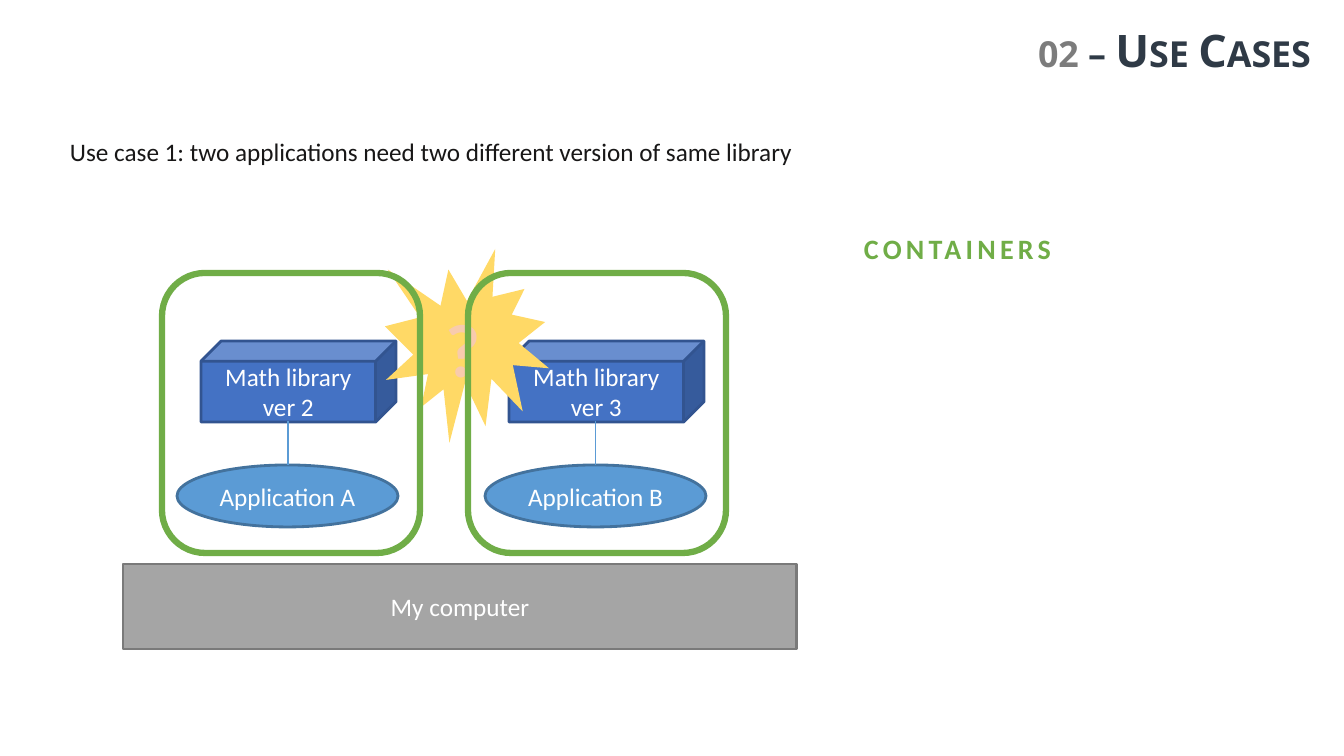
from lxml import etree
from pptx import Presentation
from pptx.dml.color import RGBColor
from pptx.enum.shapes import MSO_CONNECTOR, MSO_SHAPE
from pptx.enum.text import MSO_ANCHOR, PP_ALIGN
from pptx.oxml.ns import qn
from pptx.util import Emu, Pt

LEFT, CENTER, RIGHT = PP_ALIGN.LEFT, PP_ALIGN.CENTER, PP_ALIGN.RIGHT
TOP, MIDDLE = MSO_ANCHOR.TOP, MSO_ANCHOR.MIDDLE
RECTANGLE, OVAL, CUBE = MSO_SHAPE.RECTANGLE, MSO_SHAPE.OVAL, MSO_SHAPE.CUBE
ROUNDED, BURST = MSO_SHAPE.ROUNDED_RECTANGLE, MSO_SHAPE.EXPLOSION1
STRAIGHT = MSO_CONNECTOR.STRAIGHT

EMU_PER_PIXEL = 914400 / 100.8
WHITE, GREEN, BLUE = "FFFFFF", "70AD47", "5B9BD5"
STACK_STEP, CONTAINER_STEP = 308, 306


def px(*lengths):
    """Turn pixel lengths into a list of EMU lengths."""
    return [Emu(round(length * EMU_PER_PIXEL)) for length in lengths]


def rgb(value):
    """Turn a hex string into a colour."""
    return RGBColor.from_string(value)


def write(shape, runs, size=18, font="Calibri", bold=False, align=CENTER,
          anchor=MIDDLE, inset=(10, 5), caps=None, spacing=None):
    """Fill a shape with one paragraph of (text, colour) runs."""
    frame = shape.text_frame
    frame.word_wrap = True
    frame.vertical_anchor = anchor
    frame.margin_left, frame.margin_top = px(*inset)
    frame.margin_right, frame.margin_bottom = px(*inset)
    paragraph = frame.paragraphs[0]
    paragraph.alignment = align
    for text, color in runs:
        run = paragraph.add_run()
        run.text = text
        run.font.size = Pt(size)
        run.font.name = font
        run.font.bold = bold
        run.font.color.rgb = rgb(color)
        properties = run._r.get_or_add_rPr()
        if caps:
            properties.set("cap", caps)
        if spacing:
            properties.set("spc", str(spacing * 100))


def add_label(slide, box, runs, **style):
    """Add a text box."""
    write(slide.shapes.add_textbox(*px(*box)), runs, **style)


def add_block(slide, kind, box, fill=None, line=None, width=2, text=None, adjust=None):
    """Add a preset shape with an optional white caption."""
    block = slide.shapes.add_shape(kind, *px(*box))
    block.shadow.inherit = False
    if adjust is not None:
        block.adjustments[0] = adjust
    if fill:
        block.fill.solid()
        block.fill.fore_color.rgb = rgb(fill)
    else:
        block.fill.background()
    if line:
        block.line.color.rgb = rgb(line)
        block.line.width = Pt(width)
    else:
        block.line.fill.background()
    if text:
        write(block, [(text, WHITE)])


def add_link(slide, start, end):
    """Add a thin straight line between two points."""
    link = slide.shapes.add_connector(STRAIGHT, *px(*start, *end))
    link.line.color.rgb = rgb(BLUE)
    link.line.width = Pt(0.75)
    etree.SubElement(link._element.spPr, qn("a:effectLst"))


def add_stack(slide, offset, application, library):
    """Add an application linked to the library it needs."""
    add_block(slide, OVAL, (177 + offset, 465, 221, 62), BLUE, "43729D", text=application)
    add_block(slide, CUBE, (201 + offset, 341, 195, 81), "4472C4", "325490",
              text=library, adjust=0.25)
    add_link(slide, (288 + offset, 465), (288 + offset, 421))


def main():
    """Build the slide and save it."""
    deck = Presentation()
    deck.slide_width, deck.slide_height = px(1344, 756)
    slide = deck.slides.add_slide(deck.slide_layouts[6])

    add_label(slide, (473, 15, 848, 69), [("02", "7C7C7C"), (" – Use Cases", "2F3A46")],
              size=32, font="Open Sans", bold=True, align=RIGHT, inset=(10, 5), caps="small")
    add_label(slide, (60, 131, 761, 40),
              [("Use case 1: two applications need two different version of same library",
                "181717")], align=LEFT, anchor=TOP)

    add_block(slide, RECTANGLE, (123, 564, 674, 85), "A5A5A5", "7A7A7A", text="My computer")
    for index, (application, library) in enumerate([
            ("Application A", "Math library ver 2"),
            ("Application B", "Math library ver 3")]):
        add_stack(slide, index * STACK_STEP, application, library)

    add_block(slide, BURST, (385, 249, 164, 194), "FFD966")
    add_label(slide, (412, 297, 102, 101), [("?", "F8CBAD")], size=54, bold=True, anchor=TOP)

    for index in range(2):
        add_block(slide, ROUNDED, (162 + index * CONTAINER_STEP, 273, 258, 280),
                  line=GREEN, width=4.5, adjust=0.167)
    add_label(slide, (854, 227, 241, 43), [("CONTAINERS", GREEN)], size=20, bold=True,
              align=LEFT, anchor=TOP, spacing=3)
    deck.save("out.pptx")


main()
